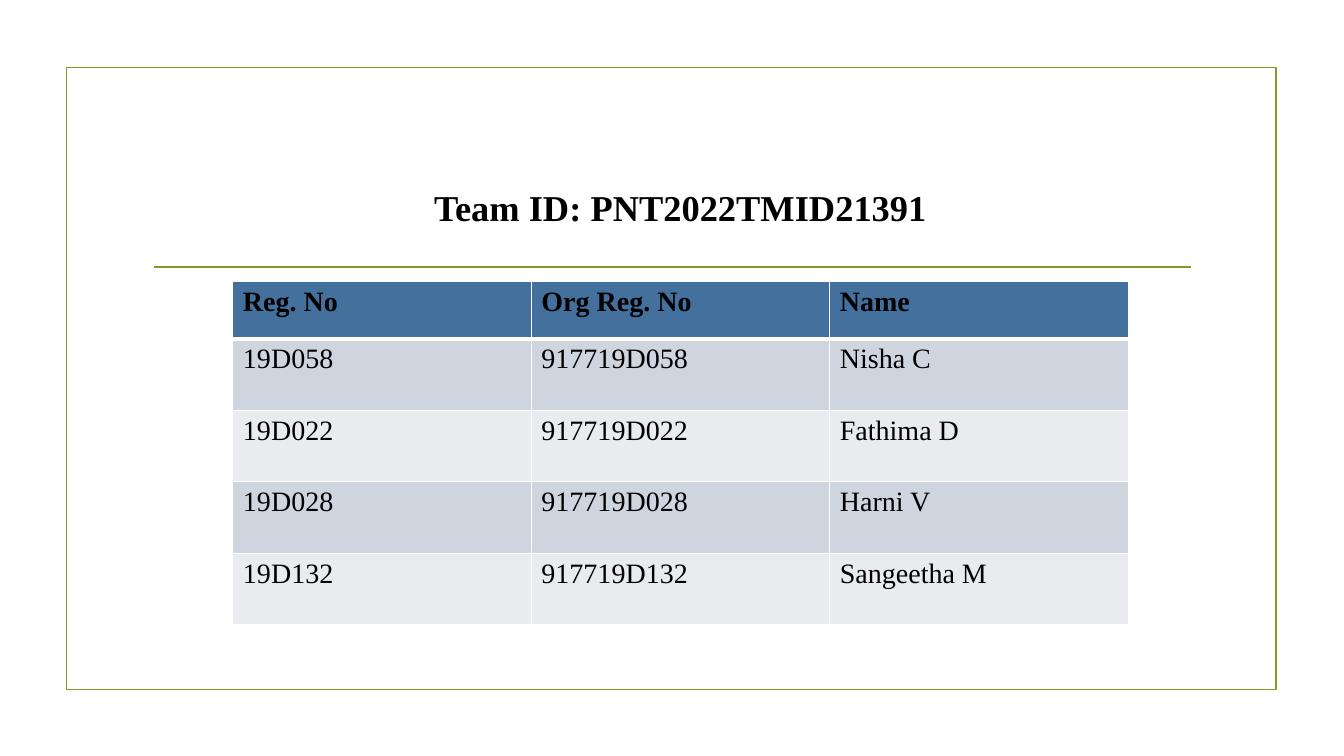
from lxml import etree
from pptx import Presentation
from pptx import util as u
from pptx.dml.color import RGBColor
from pptx.enum import shapes, text
from pptx.oxml.ns import qn

PX = 9144  # 100 px to the inch
FONT = "Times New Roman"
GREEN, WHITE, BLACK = "83992A", "FFFFFF", "000000"
HEADER_FILL, BAND_FILLS = "44709D", ("CFD5DF", "E9EBEF")
HEADER_HEIGHT, MEMBER_HEIGHT = 57, 71

MEMBERS = [
    ("Reg. No", "Org Reg. No", "Name"),
    ("19D058", "917719D058", "Nisha C"),
    ("19D022", "917719D022", "Fathima D"),
    ("19D028", "917719D028", "Harni V"),
    ("19D132", "917719D132", "Sangeetha M"),
]


def px(*lengths):
    return [u.Emu(length * PX) for length in lengths]


def colour(value):
    return RGBColor.from_string(value)


def write(frame, words, **font_format):
    paragraph = frame.paragraphs[0]
    run = paragraph.add_run()
    run.text = words
    run.font.color.rgb = colour(BLACK)
    for name, value in {"name": FONT, **font_format}.items():
        setattr(run.font, name, value)
    return paragraph


def style_line(line):
    line.color.rgb = colour(GREEN)
    line.width = u.Pt(1.25)


def set_borders(cell, widths):
    properties = cell._tc.get_or_add_tcPr()
    # Border elements come before the fill
    for position, (side, points) in enumerate(widths.items()):
        border = etree.Element(qn(f"a:ln{side}"), w=str(u.Pt(points)))
        fill = etree.SubElement(border, qn("a:solidFill"))
        etree.SubElement(fill, qn("a:srgbClr"), val=WHITE)
        properties.insert(position, border)


def add_frame(slide, left, top, width, height):
    frame = slide.shapes.add_shape(
        shapes.MSO_SHAPE.RECTANGLE, *px(left, top, width, height))
    frame.shadow.inherit = False
    frame.fill.background()
    style_line(frame.line)


def add_heading(slide, left, top, width, height):
    # Team title
    title = slide.shapes.title
    title.left, title.top, title.width, title.height = px(left, top, width, height)
    title.text_frame.word_wrap = True
    title.text_frame.vertical_anchor = text.MSO_ANCHOR.MIDDLE
    paragraph = write(title.text_frame, "Team ID: PNT2022TMID21391",
                      size=u.Pt(26), bold=True)
    paragraph.alignment = text.PP_ALIGN.CENTER

    # Rule under the title
    rule_y = top + height - 12
    rule = slide.shapes.add_connector(
        shapes.MSO_CONNECTOR.STRAIGHT,
        *px(left + 3, rule_y, left + width - 19, rule_y))
    style_line(rule.line)
    etree.SubElement(rule._element.spPr, qn("a:effectLst"))


def add_members(slide, left, top, width):
    height = HEADER_HEIGHT + MEMBER_HEIGHT * (len(MEMBERS) - 1)
    table = slide.shapes.add_table(
        len(MEMBERS), len(MEMBERS[0]), *px(left, top, width, height)).table
    for row, member in enumerate(MEMBERS):
        header = row == 0
        table.rows[row].height = px(HEADER_HEIGHT if header else MEMBER_HEIGHT)[0]
        for column, words in enumerate(member):
            cell = table.cell(row, column)
            cell.fill.solid()
            cell.fill.fore_color.rgb = colour(
                HEADER_FILL if header else BAND_FILLS[(row - 1) % 2])
            write(cell.text_frame, words, size=u.Pt(20), bold=header)
            set_borders(cell, {"L": 1, "R": 1, "T": 3 if row == 1 else 1,
                               "B": 3 if header else 1})


def main():
    deck = Presentation()
    deck.slide_width, deck.slide_height = px(1333, 750)
    slide = deck.slides.add_slide(deck.slide_layouts[5])
    add_frame(slide, 66, 67, 1200, 617)
    add_heading(slide, 150, 134, 1050, 143)
    add_members(slide, 231, 279, 888)
    deck.save("out.pptx")


if __name__ == "__main__":
    main()
